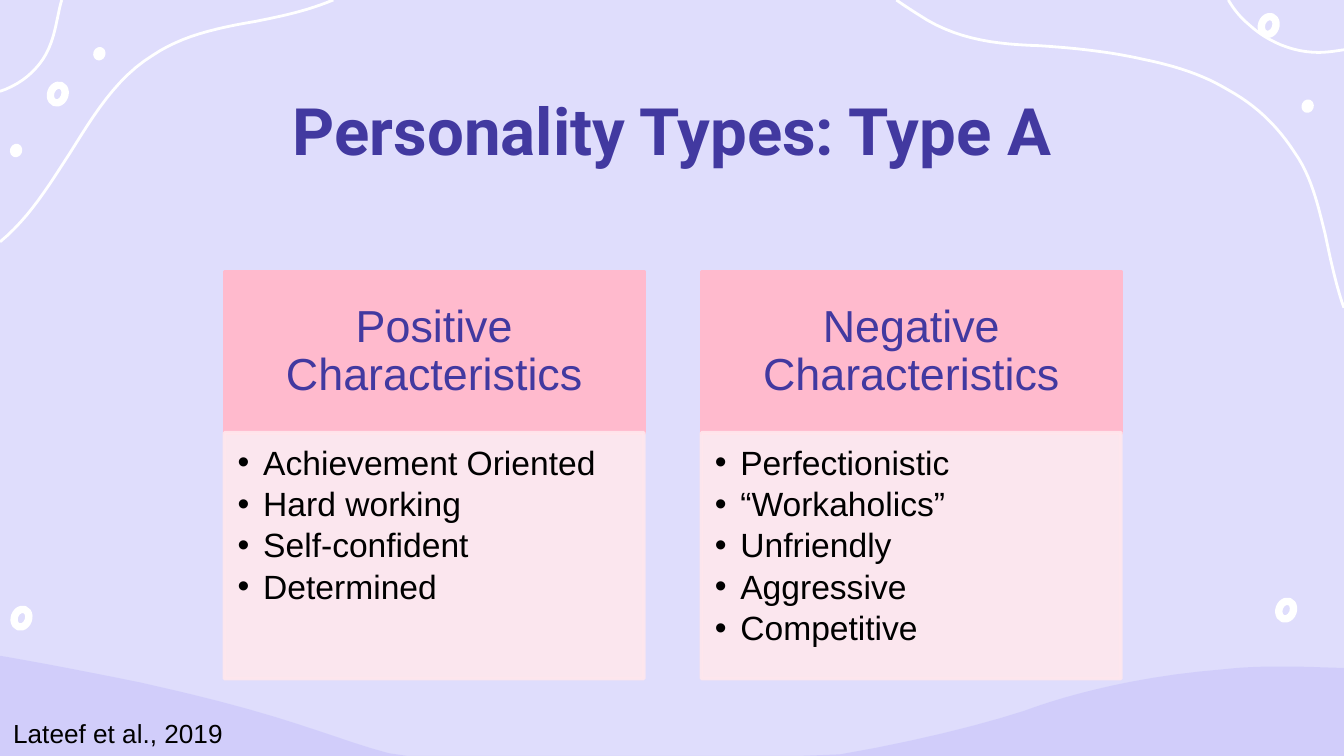
import lxml.etree
import pptx
import pptx.dml.color
import pptx.enum.shapes
import pptx.enum.text
import pptx.oxml.ns
import pptx.util

Inches = pptx.util.Inches
Pt = pptx.util.Pt
qn = pptx.oxml.ns.qn
MSO_SHAPE = pptx.enum.shapes.MSO_SHAPE
PP_ALIGN = pptx.enum.text.PP_ALIGN
MSO_ANCHOR = pptx.enum.text.MSO_ANCHOR

WIDTH = 10
HEIGHT = WIDTH * 9 / 16
STEPS = 12


def paint(color_format, color, opacity=100):
    """Set a fill, line fill or font colour; opacity is in percent."""
    if hasattr(color_format, "solid"):
        color_format.solid()
        color_format = color_format.fore_color
    color_format.rgb = pptx.dml.color.RGBColor.from_string(color)
    if opacity < 100:
        for element in color_format._xFill.iter(qn("a:srgbClr")):
            alpha = lxml.etree.SubElement(element, qn("a:alpha"))
            alpha.set("val", str(opacity * 1000))


def curve_points(points):
    """Sample joined cubic Bezier curves: a start, then three points per curve."""
    sampled = [points[0]]
    for first in range(0, len(points) - 1, 3):
        controls = points[first:first + 4]
        for step in range(1, STEPS + 1):
            t = step / STEPS
            weights = ((1 - t) ** 3, 3 * t * (1 - t) ** 2, 3 * t * t * (1 - t), t ** 3)
            sampled.append(tuple(
                sum(weight * point[axis] for weight, point in zip(weights, controls))
                for axis in (0, 1)))
    return [(Inches(x), Inches(min(y, HEIGHT))) for x, y in sampled]


presentation = pptx.Presentation()
presentation.slide_width = Inches(WIDTH)
presentation.slide_height = Inches(HEIGHT)
slide = presentation.slides.add_slide(presentation.slide_layouts[6])
paint(slide.background.fill, "DFDDFC")
shapes = slide.shapes

# Wave along the bottom edge
wave = curve_points([
    (0, 4.88), (0.24, 4.92), (0.61, 4.99), (1.05, 5.08),
    (2.37, 5.37), (2.54, 5.55), (3.18, 5.67),
    (3.58, 5.75), (4, 5.78), (4.43, 5.78),
    (5.68, 5.78), (6.97, 5.5), (7.62, 5.29),
    (7.81, 5.22), (8.34, 5.04), (9.11, 4.98),
    (9.28, 4.96), (9.44, 4.96), (9.58, 4.96),
    (9.74, 4.96), (9.89, 4.97), (10, 4.97)])
builder = shapes.build_freeform(*wave[0])
builder.add_line_segments(
    wave[1:] + [(Inches(WIDTH), Inches(HEIGHT)), (0, Inches(HEIGHT))], close=True)
shape = builder.convert_to_shape()
shape.shadow.inherit = False
paint(shape.fill, "C4BFFA", 51)
shape.line.fill.background()

# White curves in the top corners
corner_curves = [
    [(2.48, 0), (2.29, 0.08), (2.1, 0.12), (1.9, 0.16),
     (1.6, 0.21), (1.35, 0.27), (1.14, 0.41),
     (0.86, 0.58), (0.69, 0.87), (0.52, 1.14),
     (0.37, 1.37), (0.22, 1.62), (0, 1.8)],
    [(0.46, 0), (0.43, 0.1), (0.42, 0.21), (0.38, 0.32),
     (0.32, 0.49), (0.18, 0.62), (0, 0.68)],
    [(9.14, 0), (9.18, 0.07), (9.23, 0.13), (9.29, 0.18),
     (9.43, 0.31), (9.62, 0.39), (9.81, 0.39),
     (9.87, 0.39), (9.94, 0.38), (10, 0.37)],
    [(6.67, 0), (6.74, 0.05), (6.82, 0.1), (6.9, 0.15),
     (7.16, 0.3), (7.43, 0.33), (7.73, 0.34),
     (8.04, 0.36), (8.28, 0.39), (8.5, 0.44),
     (8.75, 0.49), (8.96, 0.56), (9.14, 0.67),
     (9.34, 0.78), (9.5, 0.93), (9.63, 1.13),
     (9.76, 1.31), (9.81, 1.54), (9.86, 1.74),
     (9.9, 1.93), (9.94, 2.12), (10, 2.29)],
]
for curve in corner_curves:
    points = curve_points(curve)
    builder = shapes.build_freeform(*points[0])
    builder.add_line_segments(points[1:], close=False)
    shape = builder.convert_to_shape()
    shape.shadow.inherit = False
    shape.fill.background()
    paint(shape.line.fill, "FFFFFF")
    shape.line.width = Pt(1.5)

# Scattered dots and rings, placed by their centres
dots = [(0.74, 0.4), (9.73, 0.79), (0.12, 1.12)]
rings = [(9.57, 4.54), (9.44, 0.19), (0.16, 4.6), (0.43, 0.7)]
for kind, centres, width, height in (
        (MSO_SHAPE.OVAL, dots, 0.06, 0.07), (MSO_SHAPE.DONUT, rings, 0.13, 0.16)):
    for x, y in centres:
        shape = shapes.add_shape(kind, Inches(x - width / 2), Inches(y - height / 2),
                                 Inches(width), Inches(height))
        shape.shadow.inherit = False
        shape.rotation = 20
        if kind == MSO_SHAPE.DONUT:
            shape.adjustments[0] = 0.18
        paint(shape.fill, "FFFFFF")
        paint(shape.line.fill, "FFFFFF")
        shape.line.width = Pt(2.25)

# Title
title = shapes.add_textbox(Inches(0.79), Inches(0.57), Inches(8.43), Inches(0.63))
frame = title.text_frame
frame.word_wrap = True
frame.margin_top = frame.margin_bottom = Inches(0.1)
paragraph = frame.paragraphs[0]
paragraph.text = "Personality Types: Type A"
paragraph.alignment = PP_ALIGN.CENTER
paragraph.font.name = "Roboto"
paragraph.font.size = Pt(35)
paragraph.font.bold = True
paint(paragraph.font.color, "4239A0")

# Two cards, each a header above a bulleted list
cards = [
    ("Positive Characteristics",
     ["Achievement Oriented", "Hard working", "Self-confident", "Determined"]),
    ("Negative Characteristics",
     ["Perfectionistic", "“Workaholics”", "Unfriendly", "Aggressive", "Competitive"]),
]
for index, (heading, traits) in enumerate(cards):
    left = 1.67 + index * 3.55
    for top, height, color, opacity, lines, margins in (
            (2.02, 1.2, "FFBACD", 100, [heading], (0.19, 0.11, 0.19, 0.11)),
            (3.22, 1.83, "FFE7ED", 90, traits, (0.1, 0.1, 0.14, 0.16))):
        is_header = lines is not traits
        shape = shapes.add_shape(MSO_SHAPE.RECTANGLE, Inches(left), Inches(top),
                                 Inches(3.12), Inches(height))
        shape.shadow.inherit = False
        paint(shape.fill, color, opacity)
        paint(shape.line.fill, color, opacity)
        shape.line.width = Pt(2)
        frame = shape.text_frame
        frame.word_wrap = True
        frame.vertical_anchor = MSO_ANCHOR.MIDDLE if is_header else MSO_ANCHOR.TOP
        (frame.margin_left, frame.margin_top,
         frame.margin_right, frame.margin_bottom) = map(Inches, margins)
        for number, line in enumerate(lines):
            paragraph = frame.paragraphs[0] if number == 0 else frame.add_paragraph()
            paragraph.text = line
            paragraph.line_spacing = 0.9
            paragraph.alignment = PP_ALIGN.CENTER if is_header else PP_ALIGN.LEFT
            if not is_header:
                paragraph.space_after = Pt(2.7)
                properties = paragraph._p.get_or_add_pPr()
                properties.set("marL", str(Inches(0.19)))
                properties.set("indent", str(-Inches(0.19)))
                bullet_font = lxml.etree.SubElement(properties, qn("a:buFont"))
                bullet_font.set("typeface", "Arial")
                bullet = lxml.etree.SubElement(properties, qn("a:buChar"))
                bullet.set("char", "•")
            paragraph.font.name = "Arial"
            paragraph.font.size = Pt(24 if is_header else 18)
            paint(paragraph.font.color, "4239A0" if is_header else "000000")

# Citation
citation = shapes.add_textbox(0, Inches(5.29), Inches(1.77), Inches(0.34))
citation.text_frame.word_wrap = False
paragraph = citation.text_frame.paragraphs[0]
paragraph.text = "Lateef et al., 2019"
paragraph.font.name = "Arial"
paragraph.font.size = Pt(14)
paint(paragraph.font.color, "000000")

presentation.save("out.pptx")
